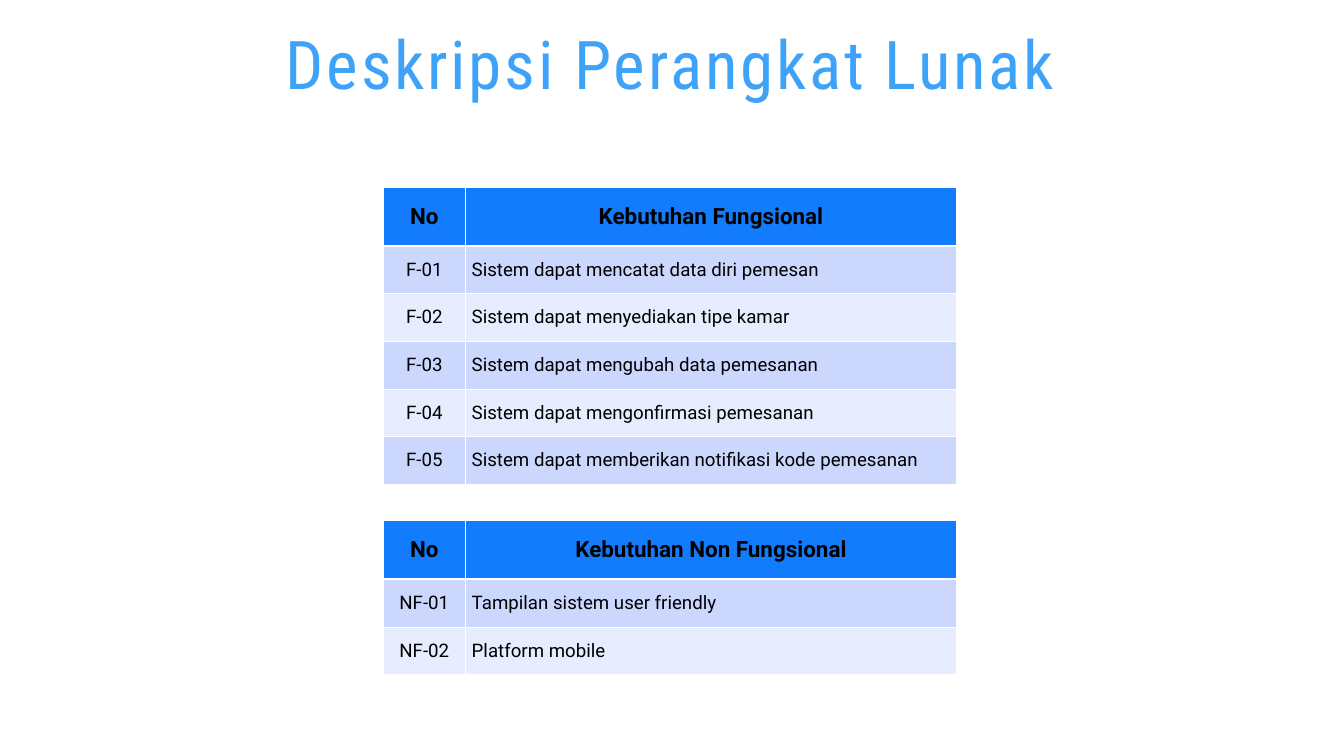
from lxml import etree
from pptx import Presentation
from pptx import util as u
from pptx.dml.color import RGBColor
from pptx.enum import text
from pptx.oxml.ns import qn

HUES = {"title": "3EA3F8", "head": "127CFC", "odd": "CCD7FE",
        "even": "E7ECFE", "ink": "000000", "rule": "FFFFFF"}
WIDE, HIGH = u.Inches(20), u.Inches(11.25)
LEFT = u.Inches(5.71)
COLS = [u.Inches(1.21), u.Inches(7.32)]
HEAD, ROW = u.Inches(0.87), u.Inches(0.71)

TABLES = [
    (2.79, "F", "Kebutuhan Fungsional", [
        "Sistem dapat mencatat data diri pemesan",
        "Sistem dapat menyediakan tipe kamar",
        "Sistem dapat mengubah data pemesanan",
        "Sistem dapat mengonfirmasi pemesanan",
        "Sistem dapat memberikan notifikasi kode pemesanan"]),
    (7.75, "NF", "Kebutuhan Non Fungsional", [
        "Tampilan sistem user friendly",
        "Platform mobile"]),
]


def rule(cell, side, width):
    """Draw one cell border; side is L, R, T or B, width is in points."""
    line = etree.SubElement(cell._tc.get_or_add_tcPr(), qn("a:ln" + side),
                            w=str(u.Pt(width)))
    fill = etree.SubElement(line, qn("a:solidFill"))
    etree.SubElement(fill, qn("a:srgbClr"), val=HUES["rule"])


def style(para, face, size, hue, bold=False):
    para.font.name, para.font.size, para.font.bold = face, u.Pt(size), bold
    para.font.color.rgb = RGBColor.from_string(HUES[hue])


deck = Presentation()
deck.slide_width, deck.slide_height = WIDE, HIGH
slide = deck.slides.add_slide(deck.slide_layouts[5])

title = slide.shapes.title
title.left, title.top = u.Inches(0.98), u.Inches(0.27)
title.width, title.height = u.Inches(18), u.Inches(1.32)
frame = title.text_frame
frame.text = "Deskripsi Perangkat Lunak"
frame.auto_size = text.MSO_AUTO_SIZE.NONE
frame.vertical_anchor = text.MSO_ANCHOR.MIDDLE
frame.margin_left = frame.margin_right = u.Inches(0.18)
frame.margin_top = frame.margin_bottom = u.Inches(0.09)
para = frame.paragraphs[0]
para.alignment = text.PP_ALIGN.CENTER
style(para, "Roboto Condensed", 72, "title")
para.runs[0]._r.get_or_add_rPr().set("spc", "300")

for top, code, name, needs in TABLES:
    rows = [("No", name)]
    rows += [(f"{code}-{n:02}", need) for n, need in enumerate(needs, 1)]
    grid = slide.shapes.add_table(
        len(rows), len(COLS), LEFT, u.Inches(top), sum(COLS),
        HEAD + ROW * len(needs)).table
    for col, width in zip(grid.columns, COLS):
        col.width = width
    for r, row in enumerate(rows):
        grid.rows[r].height = ROW if r else HEAD
        band = "head" if r == 0 else "odd" if r % 2 else "even"
        for c, words in enumerate(row):
            cell = grid.cell(r, c)
            cell.text = words
            cell.vertical_anchor = text.MSO_ANCHOR.MIDDLE
            for side in "LRTB":
                thick = (r, side) in [(0, "B"), (1, "T")]
                rule(cell, side, 3 if thick else 1)
            cell.fill.solid()
            cell.fill.fore_color.rgb = RGBColor.from_string(HUES[band])
            para = cell.text_frame.paragraphs[0]
            left = r > 0 and c == 1
            para.alignment = text.PP_ALIGN.LEFT if left else text.PP_ALIGN.CENTER
            style(para, "Roboto", 20 if r else 24, "ink", r == 0)

deck.save("out.pptx")
